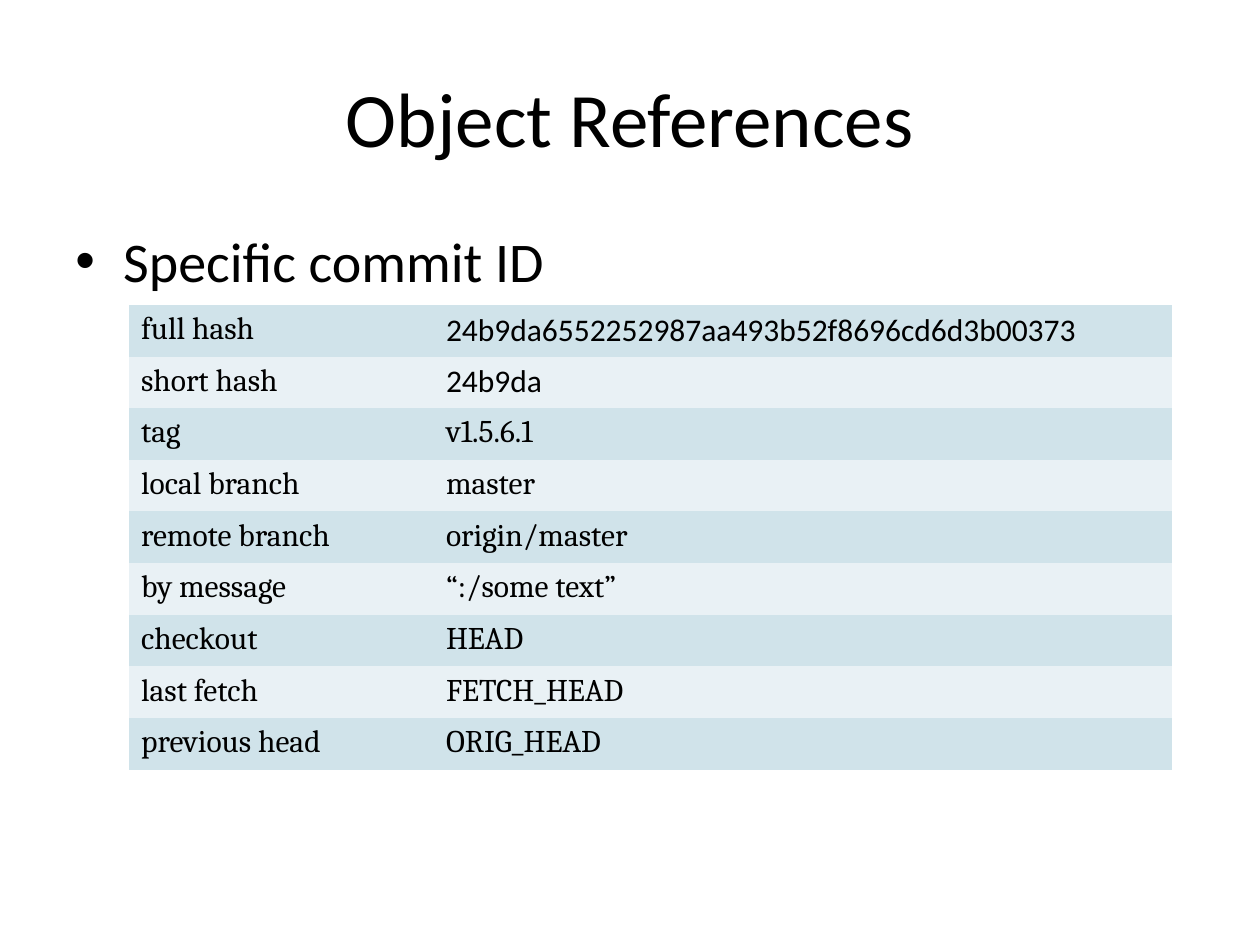
"""Build the slide on object references, with a table of commit names."""
from pptx import Presentation
from pptx.dml.color import RGBColor as Rgb
from pptx.enum.text import MSO_ANCHOR as Anchor, PP_ALIGN as Align
from pptx.oxml.ns import qn
from pptx.util import Inches, Pt
from lxml.etree import SubElement as Sub

TITLE = "Object References"
POINT = "Specific commit ID"
ROWS = [
    ("full hash", "24b9da6552252987aa493b52f8696cd6d3b00373"),
    ("short hash", "24b9da"),
    ("tag", "v1.5.6.1"),
    ("local branch", "master"),
    ("remote branch", "origin/master"),
    ("by message", "“:/some text”"),
    ("checkout", "HEAD"),
    ("last fetch", "FETCH_HEAD"),
    ("previous head", "ORIG_HEAD"),
]
HASHES = {"full hash", "short hash"}
COLS = (2.42, 5.86)
ROW_H = 0.41
INK = {"text": "000000", "odd": "D0E3EA", "even": "E9F1F5"}
PLAIN = "{2D5ABB26-0587-4C30-8999-92F81FD0307C}"


def write(par, text, size, font="Calibri"):
    run = par.add_run()
    run.text = text
    run.font.size = Pt(size)
    run.font.name = font
    run.font.color.rgb = Rgb.from_string(INK["text"])


def add_text(slide, box, text, size, anchor):
    frame = slide.shapes.add_textbox(*map(Inches, box)).text_frame
    frame.word_wrap = True
    frame.vertical_anchor = anchor
    par = frame.paragraphs[0]
    write(par, text, size)
    return par


def add_bullet(par):
    props = par._p.get_or_add_pPr()
    props.set("marL", str(Inches(0.38)))
    props.set("indent", str(-Inches(0.38)))
    Sub(props, qn("a:buFont")).set("typeface", "Arial")
    Sub(props, qn("a:buChar")).set("char", "•")


def add_grid(slide):
    box = (1.02, 2.42, sum(COLS), ROW_H * len(ROWS))
    grid = slide.shapes.add_table(len(ROWS), len(COLS), *map(Inches, box)).table
    grid.first_row = grid.horz_banding = False
    grid._tbl.tblPr.find(qn("a:tableStyleId")).text = PLAIN
    for col, width in zip(grid.columns, COLS):
        col.width = Inches(width)
    for r, row in enumerate(ROWS):
        for c, text in enumerate(row):
            cell = grid.cell(r, c)
            cell.fill.solid()
            cell.fill.fore_color.rgb = Rgb.from_string(INK["even" if r % 2 else "odd"])
            font = "Calibri" if c and row[0] in HASHES else "Cambria"
            write(cell.text_frame.paragraphs[0], text, 18, font)


def main():
    deck = Presentation()
    deck.slide_width, deck.slide_height = Inches(10), Inches(7.5)
    slide = deck.slides.add_slide(deck.slide_layouts[6])
    head = add_text(slide, (0.5, 0.3, 9, 1.25), TITLE, 44, Anchor.MIDDLE)
    head.alignment = Align.CENTER
    point = add_text(slide, (0.5, 1.75, 9, 4.95), POINT, 32, Anchor.TOP)
    point.space_before = Pt(6.4)
    add_bullet(point)
    add_grid(slide)
    deck.save("out.pptx")


if __name__ == "__main__":
    main()
